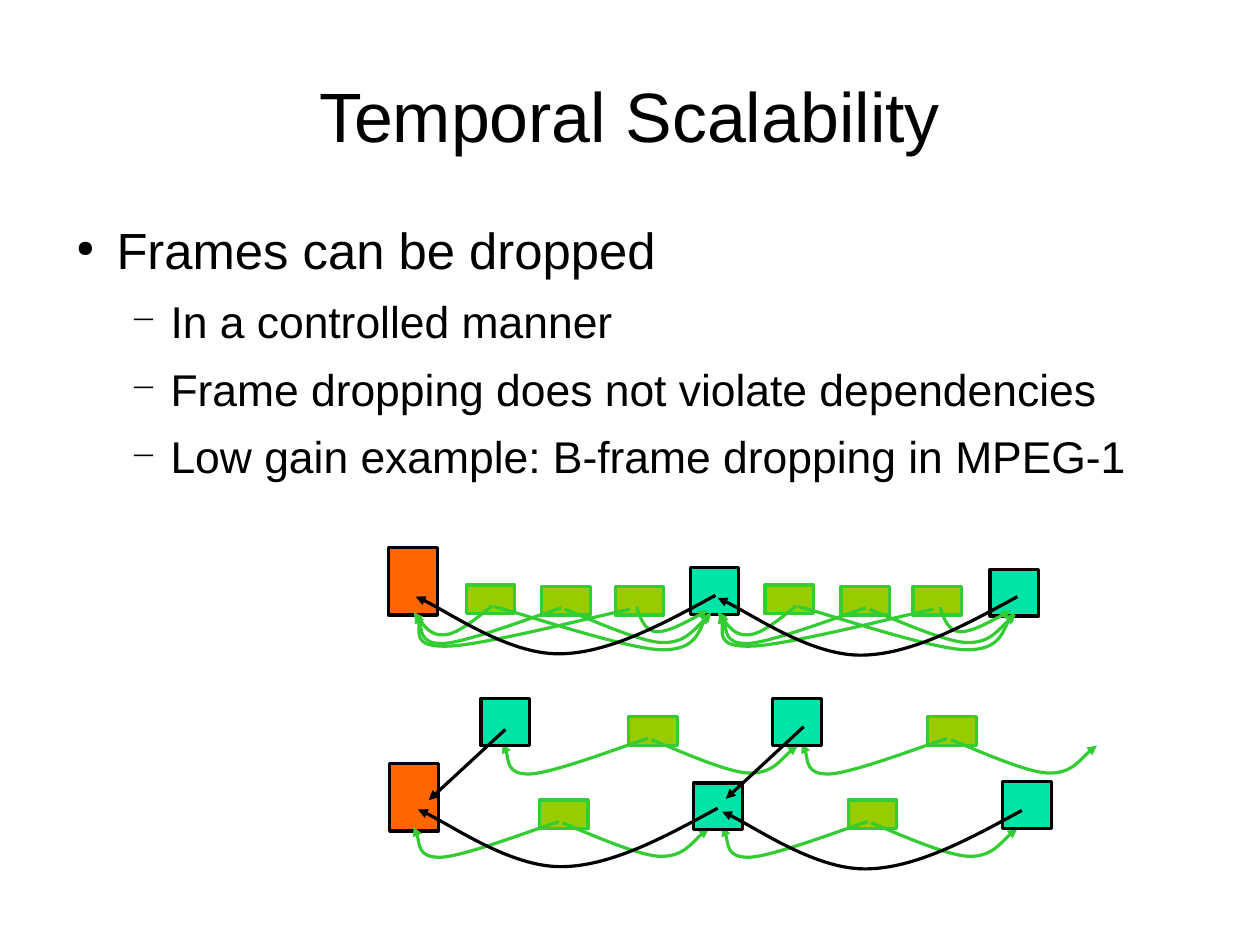
from dataclasses import dataclass

import pptx
import pptx.dml.color
import pptx.enum.shapes
import pptx.enum.text
import pptx.oxml
import pptx.oxml.ns
import pptx.util
from lxml import etree

Cm = pptx.util.Cm
Pt = pptx.util.Pt
qn = pptx.oxml.ns.qn
Point = tuple[float, float]

COLOURS = {
    "text": "000000",
    "reference": "000000",
    "prediction": "33CC33",
    "i_frame": "FF6600",
    "p_frame": "00E4A8",
    "b_frame": "99CC00",
}

# Bezier control points in cm, relative to the start of each arc.
ARCS: dict[str, list[Point]] = {
    "back_near": [(-0.41, 0.33), (-0.79, 0.64), (-1.08, 0.65), (-1.37, 0.66), (-1.57, 0.38), (-1.75, 0.14)],
    "back_middle": [(-0.43, 0.13), (-2.06, 0.76), (-2.61, 0.79), (-3.15, 0.81), (-3.1, 0.25), (-3.23, 0.11)],
    "back_far": [(-0.66, 0.13), (-3.28, 0.81), (-4.06, 0.82), (-4.85, 0.84), (-4.6, 0.25), (-4.75, 0.1)],
    "ahead_near": [(0.08, 0.25), (0.18, 0.53), (0.43, 0.55), (0.69, 0.56), (1.14, 0.31), (1.58, 0.08)],
    "ahead_middle": [(0.36, 0.13), (1.6, 0.71), (2.15, 0.74), (2.69, 0.76), (3.02, 0.25), (3.25, 0.13)],
    "ahead_far": [(0.63, 0.15), (2.92, 0.94), (3.73, 0.96), (4.52, 0.97), (4.6, 0.31), (4.83, 0.13)],
    "reference": [(-1.19, 0.65), (-2.39, 1.3), (-3.49, 1.3), (-4.6, 1.3), (-6.12, 0.24), (-6.66, 0.03)],
}

# Arcs of a B frame by its place between references, with their start inside the frame.
B_FRAME_ARCS: dict[str, list[tuple[str, Point]]] = {
    "left": [("back_near", (0.58, 0.46)), ("ahead_far", (0.61, 0.48))],
    "middle": [("ahead_middle", (0.51, 0.51)), ("back_middle", (0.43, 0.48))],
    "right": [("ahead_near", (0.48, 0.46)), ("back_far", (0.33, 0.51))],
}

FRAME_SIZES: dict[str, Point] = {
    "i_frame": (1.08, 1.5),
    "p_frame": (1.08, 1.04),
    "b_frame": (1.08, 0.64),
}


@dataclass(frozen=True)
class BFrame:
    left: float
    top: float
    place: str = "middle"
    arc_shift: float = 0


@dataclass(frozen=True)
class PFrame:
    left: float
    top: float
    arrow_start: Point
    arrow_end: Point | None = None  # straight arrow when given, arc otherwise


I_FRAMES = [(8.64, 12.17), (8.66, 16.97)]
TOP_P_FRAMES = [(22.0, 12.65), (15.34, 12.62)]
TOP_ARC_STARTS = [(15.9, 13.23), (22.61, 13.26)]
B_FRAMES = [
    BFrame(10.36, 13.0, "left"),
    BFrame(12.04, 13.03, "middle"),
    BFrame(13.67, 13.03, "right"),
    BFrame(17.0, 13.0, "left", 0.12),
    BFrame(18.69, 13.03, "middle", 0.12),
    BFrame(20.29, 13.03, "right", 0.12),
    BFrame(18.85, 17.78),
    BFrame(11.99, 17.78),
    BFrame(20.62, 15.93),
    BFrame(13.97, 15.93),
]
LOWER_P_FRAMES = [
    PFrame(15.42, 17.4, (15.95, 17.96)),
    PFrame(17.17, 15.52, (17.86, 16.15), (16.13, 17.75)),
    PFrame(10.69, 15.52, (11.23, 16.21), (9.53, 17.78)),
    PFrame(22.28, 17.37, (22.71, 18.01)),
]


def rgb(name: str) -> pptx.dml.color.RGBColor:
    return pptx.dml.color.RGBColor.from_string(COLOURS[name])


def style_arrow(shape, colour: str) -> None:
    shape.line.color.rgb = rgb(colour)
    shape.line.width = Pt(2)
    line = shape.line._get_or_add_ln()
    etree.SubElement(line, qn("a:tailEnd"), type="triangle")


def add_frame(slide, kind: str, left: float, top: float) -> None:
    width, height = FRAME_SIZES[kind]
    shape = slide.shapes.add_shape(
        pptx.enum.shapes.MSO_SHAPE.RECTANGLE, Cm(left), Cm(top), Cm(width), Cm(height)
    )
    shape.shadow.inherit = False
    shape.fill.solid()
    shape.fill.fore_color.rgb = rgb(kind)
    shape.line.color.rgb = rgb("prediction" if kind == "b_frame" else "reference")
    shape.line.width = Pt(2)


def add_arc(slide, kind: str, start: Point, colour: str) -> None:
    """Draw an arrow made of two Bezier curves."""
    x, y = start
    builder = slide.shapes.build_freeform(Cm(x), Cm(y))
    builder.add_line_segments([(Cm(x + dx), Cm(y + dy)) for dx, dy in ARCS[kind]], close=False)
    shape = builder.convert_to_shape()
    outline = next(shape.element.iter(qn("a:path")))
    segments = outline.findall(qn("a:lnTo"))
    for first in (0, 3):
        curve = etree.SubElement(outline, qn("a:cubicBezTo"))
        for segment in segments[first:first + 3]:
            curve.append(segment[0])
            outline.remove(segment)
    shape.shadow.inherit = False
    shape.fill.background()
    style_arrow(shape, colour)


def add_straight_arrow(slide, start: Point, end: Point) -> None:
    connector = slide.shapes.add_connector(
        pptx.enum.shapes.MSO_CONNECTOR.STRAIGHT, *(Cm(value) for value in start + end)
    )
    style_arrow(connector, "reference")
    etree.SubElement(connector.element.spPr, qn("a:effectLst"))


def add_text_frame(slide, top: float, height: float, inset: float, anchor):
    box = slide.shapes.add_textbox(Cm(1.4), Cm(top), Cm(25.2), Cm(height))
    frame = box.text_frame
    frame.word_wrap = True
    frame.vertical_anchor = anchor
    frame.margin_left = frame.margin_right = frame.margin_bottom = 0
    frame.margin_top = Cm(inset)
    return frame


def write(paragraph, text: str, *, size: float, align=None, before: float = 0,
          bullet: str = "", bullet_size: int = 100, indent: float = 0, level: int = 0) -> None:
    paragraph.alignment = align
    paragraph.level = level
    paragraph.line_spacing = 0.93
    paragraph.space_before = Pt(before)
    run = paragraph.add_run()
    run.text = text
    run.font.size = Pt(size)
    run.font.name = "Arial"
    run.font.color.rgb = rgb("text")
    if bullet:
        properties = paragraph._p.get_or_add_pPr()
        properties.set("marL", str(Cm(indent)))
        properties.set("indent", str(Cm(-0.89)))
        colour = etree.SubElement(properties, qn("a:buClr"))
        etree.SubElement(colour, qn("a:srgbClr"), val=COLOURS["text"])
        etree.SubElement(properties, qn("a:buSzPct"), val=str(bullet_size * 1000))
        etree.SubElement(properties, qn("a:buChar"), char=bullet)


def add_texts(slide) -> None:
    anchors = pptx.enum.text.MSO_ANCHOR
    title = add_text_frame(slide, 0.84, 3.5, 0.1, anchors.MIDDLE)
    write(title.paragraphs[0], "Temporal Scalability", size=44, align=pptx.enum.text.PP_ALIGN.CENTER)
    body = add_text_frame(slide, 4.9, 12.19, 0.08, anchors.TOP)
    write(body.paragraphs[0], "Frames can be dropped", size=32, before=14.1,
          bullet="●", bullet_size=45, indent=1.19)
    for text in (
        "In a controlled manner",
        "Frame dropping does not violate dependencies",
        "Low gain example: B-frame dropping in MPEG-1",
    ):
        write(body.add_paragraph(), text, size=28, before=11.4,
              bullet="−", bullet_size=75, indent=2.39, level=1)


def add_diagram(slide) -> None:
    for left, top in I_FRAMES:
        add_frame(slide, "i_frame", left, top)
    for left, top in TOP_P_FRAMES:
        add_frame(slide, "p_frame", left, top)
    for frame in B_FRAMES:
        add_frame(slide, "b_frame", frame.left, frame.top)
        for kind, (dx, dy) in B_FRAME_ARCS[frame.place]:
            start = (frame.left + dx + frame.arc_shift, frame.top + dy)
            add_arc(slide, kind, start, "prediction")
    for start in TOP_ARC_STARTS:
        add_arc(slide, "reference", start, "reference")
    for frame in LOWER_P_FRAMES:
        add_frame(slide, "p_frame", frame.left, frame.top)
        if frame.arrow_end:
            add_straight_arrow(slide, frame.arrow_start, frame.arrow_end)
        else:
            add_arc(slide, "reference", frame.arrow_start, "reference")


def main() -> None:
    presentation = pptx.Presentation()
    presentation.slide_width = Cm(28)
    presentation.slide_height = Cm(21)
    slide = presentation.slides.add_slide(presentation.slide_layouts[6])
    add_texts(slide)
    add_diagram(slide)
    presentation.save("out.pptx")


if __name__ == "__main__":
    main()
